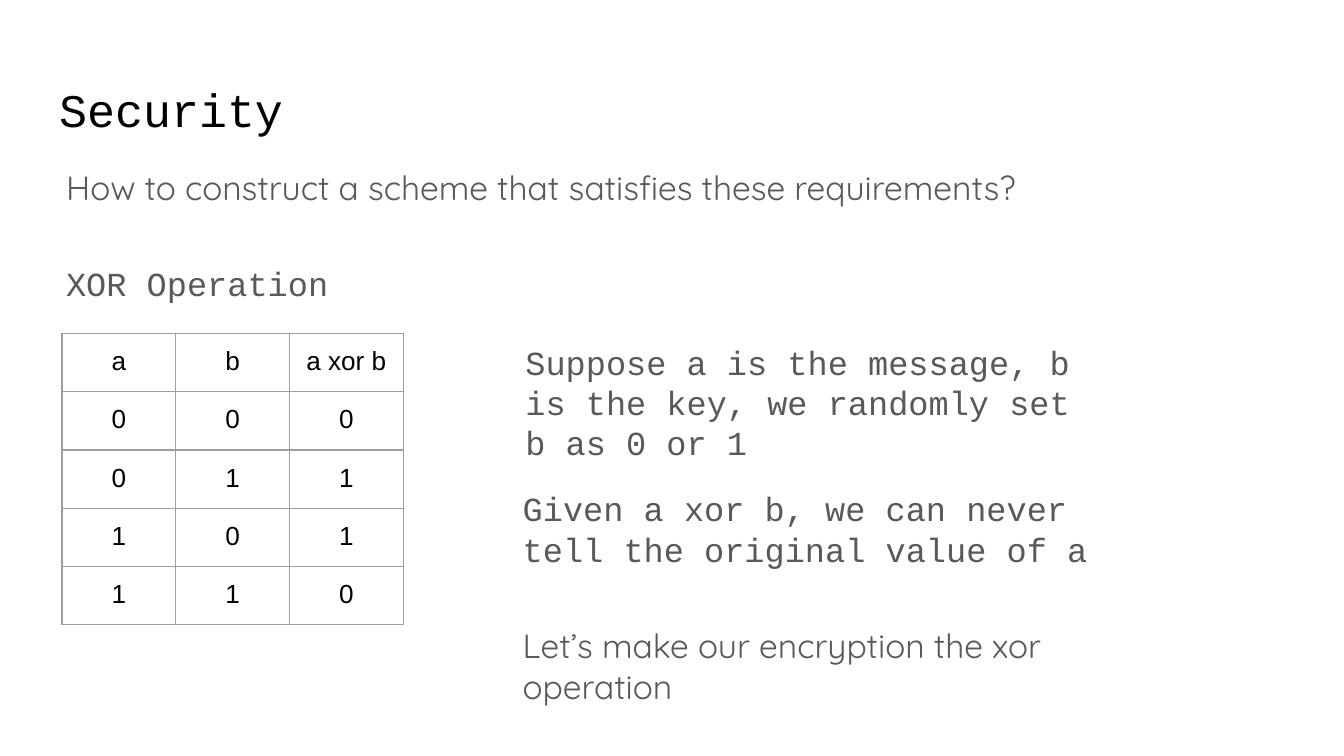
"""Build a slide that introduces XOR as an encryption scheme."""
from dataclasses import dataclass

from lxml.etree import SubElement
from pptx import Presentation
from pptx.dml.color import RGBColor
from pptx.enum.text import MSO_ANCHOR, PP_ALIGN
from pptx.oxml.ns import qn
from pptx.util import Cm, Pt


@dataclass(frozen=True)
class Theme:
    ink: RGBColor = RGBColor(0x00, 0x00, 0x00)
    muted: RGBColor = RGBColor(0x59, 0x59, 0x59)
    border: str = "9E9E9E"
    title: Pt = Pt(25)
    body: Pt = Pt(18)
    cell: Pt = Pt(14)
    mono: str = "Courier New"
    rounded: str = "Quicksand"
    sans: str = "Arial"


theme = Theme()
INSET = Cm(0.25)


def write(frame, text, font_name, size, color):
    paragraph = frame.paragraphs[0]
    paragraph.text = text
    paragraph.font.name = font_name
    paragraph.font.size = size
    paragraph.font.color.rgb = color
    return paragraph


def set_borders(cell):
    properties = cell._tc.get_or_add_tcPr()
    for position, side in enumerate(("lnL", "lnR", "lnT", "lnB")):
        line = properties.makeelement(qn(f"a:{side}"), {"w": str(Pt(0.75))})
        fill = SubElement(line, qn("a:solidFill"))
        SubElement(fill, qn("a:srgbClr"), val=theme.border)
        properties.insert(position, line)


prs = Presentation()
prs.slide_width, prs.slide_height = Cm(25.4), Cm(14.28)
slide = prs.slides.add_slide(prs.slide_layouts[6])

passages = [
    ("Security", 0.87, 1.25, 23.67, 1.6, theme.mono, theme.title, theme.ink),
    ("How to construct a scheme that satisfies these requirements?",
     1, 2.9, 23.06, 1.27, theme.rounded, theme.body, theme.muted),
    ("XOR Operation", 1, 4.72, 11.46, 1.27, theme.mono, theme.body, theme.muted),
    ("Suppose a is the message, b is the key, we randomly set b as 0 or 1",
     9.68, 6.2, 11.46, 2.06, theme.mono, theme.body, theme.muted),
    ("Given a xor b, we can never tell the original value of a",
     9.63, 8.97, 11.46, 2.06, theme.mono, theme.body, theme.muted),
    ("Let’s make our encryption the xor operation",
     9.63, 11.56, 11.46, 2.06, theme.rounded, theme.body, theme.muted),
]
for text, left, top, width, height, font_name, size, color in passages:
    passage = slide.shapes.add_textbox(Cm(left), Cm(top), Cm(width), Cm(height))
    frame = passage.text_frame
    frame.word_wrap = True
    frame.margin_left = frame.margin_right = INSET
    frame.margin_top = frame.margin_bottom = INSET
    frame.vertical_anchor = MSO_ANCHOR.MIDDLE if size == theme.title else MSO_ANCHOR.TOP
    write(frame, text, font_name, size, color)

truth_rows = [("a", "b", "a xor b")]
truth_rows += [(str(a), str(b), str(a ^ b)) for a in (0, 1) for b in (0, 1)]
truth_table = slide.shapes.add_table(
    len(truth_rows), 3, Cm(1.17), Cm(6.3), Cm(6.45), Cm(5.5)).table
truth_table.first_row = truth_table.horz_banding = False
for column in truth_table.columns:
    column.width = Cm(2.15)
for row, values in zip(truth_table.rows, truth_rows):
    row.height = Cm(1.1)
    for cell, value in zip(row.cells, values):
        cell.fill.background()
        cell.margin_left = cell.margin_right = INSET
        cell.margin_top = cell.margin_bottom = INSET
        label = write(cell.text_frame, value, theme.sans, theme.cell, theme.ink)
        label.alignment = PP_ALIGN.CENTER
        set_borders(cell)

prs.save("out.pptx")
